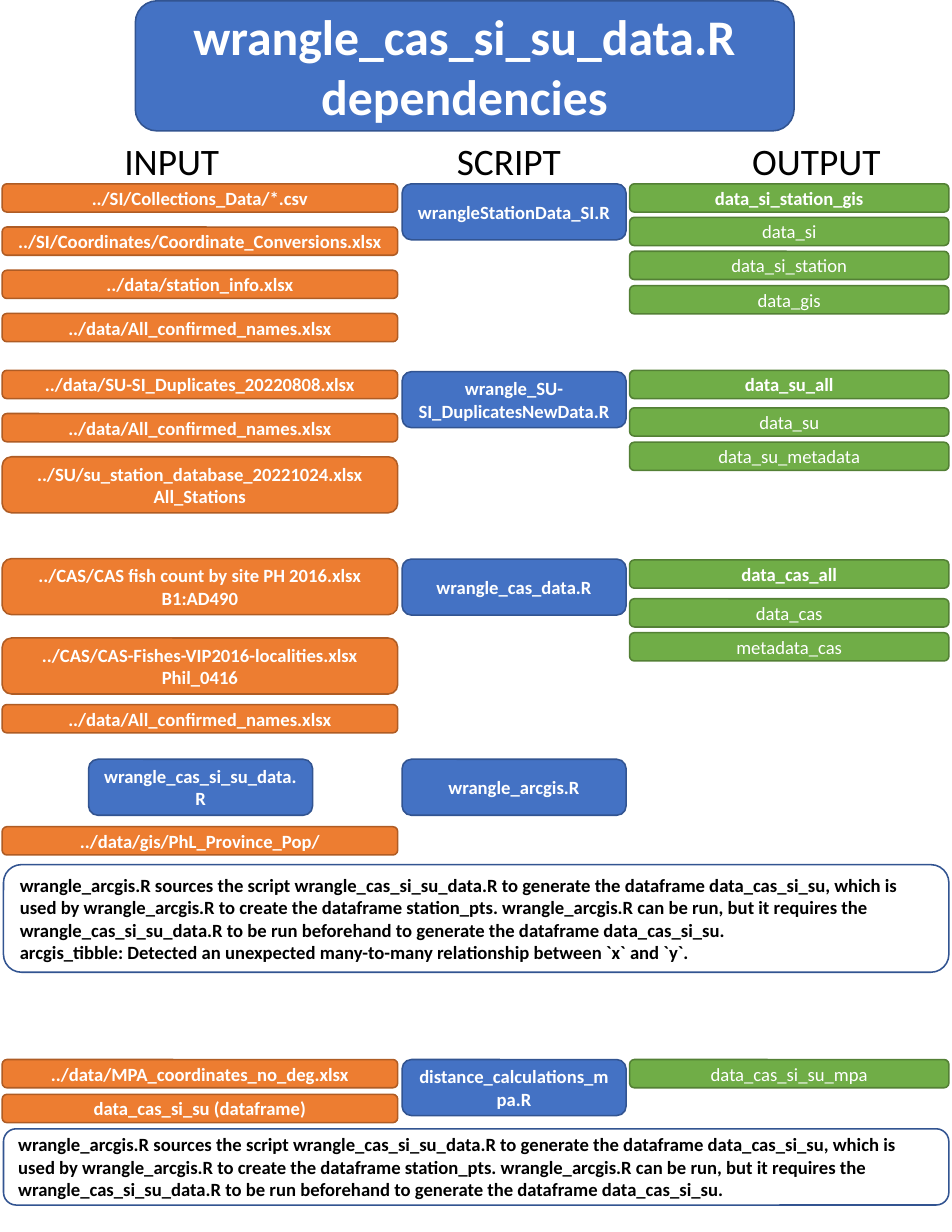
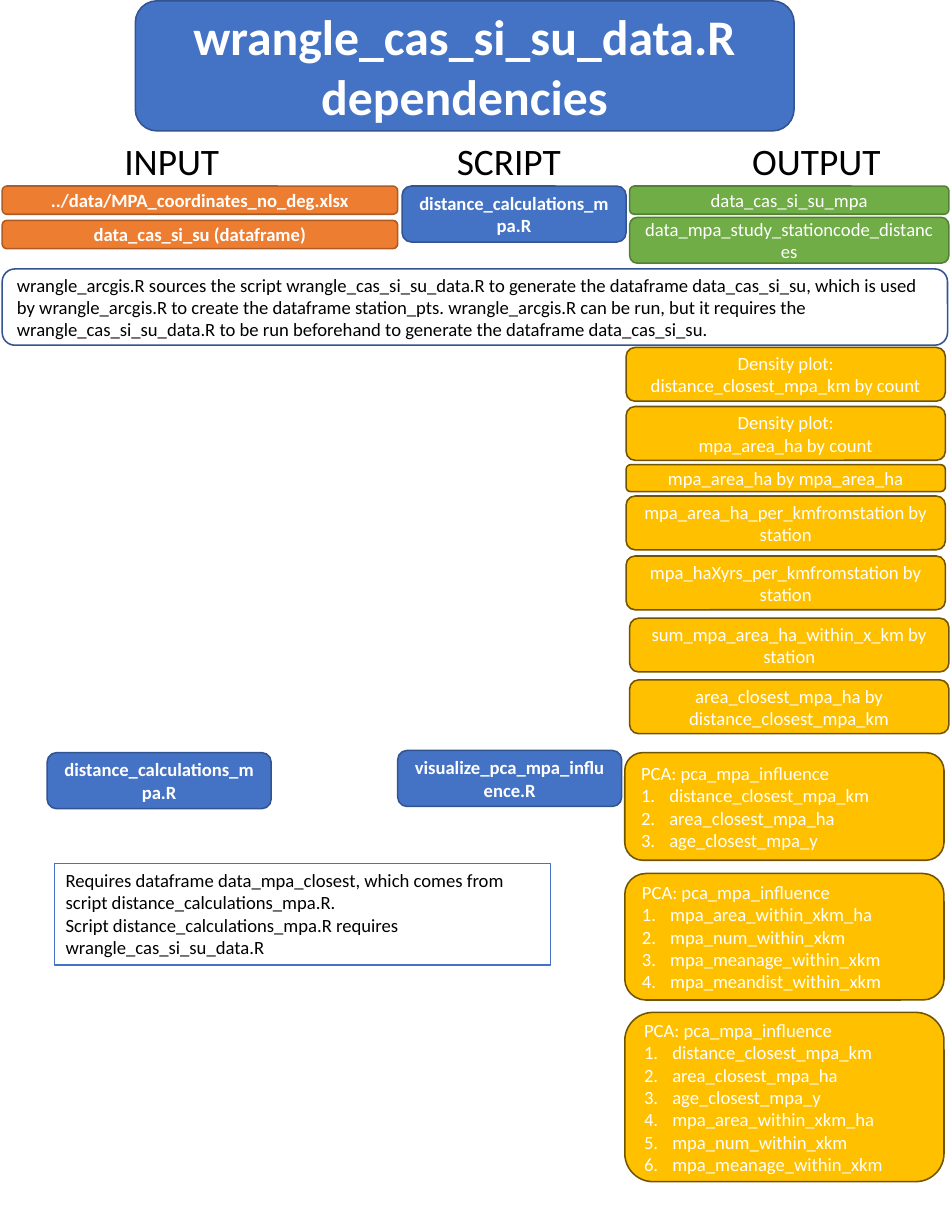
from lxml.etree import SubElement
from pptx import Presentation
from pptx.dml.color import RGBColor
from pptx.enum.shapes import MSO_SHAPE
from pptx.enum.text import MSO_ANCHOR, PP_ALIGN
from pptx.oxml.ns import qn
from pptx.util import Cm, Pt

FONT = "Calibri"
COLORS = {
    "blue": "4472C4", "blue_edge": "325491",
    "orange": "ED7D31", "orange_edge": "AF5C24",
    "green": "70AD47", "green_edge": "538035",
    "gold": "FFC000", "gold_edge": "705400",
    "white": "FFFFFF", "black": "000000",
}

ONE_LINE, TWO_LINES, PLOT = 0.64, 1.27, 1.22
INPUT, SCRIPT, OUTPUT, PLOTS, LISTS = 0.05, 9.12, 14.28, 14.2, 14.17

# kind: left, width, height, fill, edge, ink, bold, centred
KINDS = {
    "input": (INPUT, 8.97, ONE_LINE, "orange", "orange_edge", "white", True, True),
    "script": (SCRIPT, 5.08, TWO_LINES, "blue", "blue_edge", "white", True, True),
    "result": (OUTPUT, 7.24, ONE_LINE, "green", "green_edge", "white", True, True),
    "output": (OUTPUT, 7.24, ONE_LINE, "green", "green_edge", "white", False, True),
    "plot": (PLOTS, 7.24, PLOT, "gold", "gold_edge", "white", False, True),
    "list": (LISTS, 7.24, 2.44, "gold", "gold_edge", "white", False, False),
    "bold_note": (0.08, 21.44, 1.73, "white", "blue_edge", "black", True, False),
    "note": (0.05, 21.44, 1.73, "white", "blue_edge", "black", False, False),
    "requirement": (1.24, 11.25, 2.31, "white", "blue", "black", False, False),
    "title": (3.07, 14.94, 2.95, "blue", "blue_edge", "white", True, True),
}

TITLE = "wrangle_cas_si_su_data.R\ndependencies"
HEADINGS = [("INPUT", 2.57), ("SCRIPT", 10.11), ("OUTPUT", 16.81)]
NAMES = "../data/All_confirmed_names.xlsx"
MPA_INPUTS = ["../data/MPA_coordinates_no_deg.xlsx", "data_cas_si_su (dataframe)"]
DISTANCES = "distance_calculations_mpa.R"
SOURCING = (
    "wrangle_arcgis.R sources the script wrangle_cas_si_su_data.R to generate the "
    "dataframe data_cas_si_su, which is used by wrangle_arcgis.R to create the dataframe "
    "station_pts. wrangle_arcgis.R can be run, but it requires the "
    "wrangle_cas_si_su_data.R to be run beforehand to generate the dataframe data_cas_si_su."
)
WARNING = ("arcgis_tibble: Detected an unexpected many-to-many relationship "
           "between `x` and `y`.")
CLOSEST = ["distance_closest_mpa_km", "area_closest_mpa_ha", "age_closest_mpa_y"]
WITHIN = ["mpa_area_within_xkm_ha", "mpa_num_within_xkm", "mpa_meanage_within_xkm"]


def pca(variables):
    return "\n".join(["PCA: pca_mpa_influence", *variables])


# kind, top, text, then any size or place that differs from the kind
WRANGLING = [
    ("script", 4.17, "wrangleStationData_SI.R", {}),
    ("input", 4.17, "../SI/Collections_Data/*.csv", {}),
    ("input", 5.15, "../SI/Coordinates/Coordinate_Conversions.xlsx", {}),
    ("input", 6.13, "../data/station_info.xlsx", {}),
    ("input", 7.11, NAMES, {}),
    ("result", 4.17, "data_si_station_gis", {}),
    ("output", 4.93, "data_si", {}),
    ("output", 5.7, "data_si_station", {}),
    ("output", 6.48, "data_gis", {}),
    ("script", 8.43, "wrangle_SU-SI_DuplicatesNewData.R", {}),
    ("input", 8.4, "../data/SU-SI_Duplicates_20220808.xlsx", {}),
    ("input", 9.38, NAMES, {}),
    ("input", 10.36, "../SU/su_station_database_20221024.xlsx\nAll_Stations",
     {"height": TWO_LINES}),
    ("result", 8.4, "data_su_all", {}),
    ("output", 9.25, "data_su", {}),
    ("output", 10.03, "data_su_metadata", {}),
    ("script", 12.68, "wrangle_cas_data.R", {}),
    ("input", 12.67, "../CAS/CAS fish count by site PH 2016.xlsx\nB1:AD490",
     {"height": TWO_LINES}),
    ("input", 14.47, "../CAS/CAS-Fishes-VIP2016-localities.xlsx\nPhil_0416",
     {"height": TWO_LINES}),
    ("input", 15.98, NAMES, {}),
    ("result", 12.7, "data_cas_all", {}),
    ("output", 13.58, "data_cas", {}),
    ("output", 14.35, "metadata_cas", {}),
    ("script", 17.22, "wrangle_cas_si_su_data.R", {"left": 2.01}),
    ("script", 17.22, "wrangle_arcgis.R", {}),
    ("input", 18.75, "../data/gis/PhL_Province_Pop/", {}),
    ("bold_note", 19.61, f"{SOURCING}\n{WARNING}", {"height": 2.44}),
    ("input", 24.03, MPA_INPUTS[0], {}),
    ("input", 24.82, MPA_INPUTS[1], {}),
    ("script", 24.03, DISTANCES, {}),
    ("output", 24.03, "data_cas_si_su_mpa", {}),
    ("bold_note", 25.6, SOURCING, {}),
]
ANALYSIS = [
    ("input", 4.22, MPA_INPUTS[0], {}),
    ("input", 5.0, MPA_INPUTS[1], {}),
    ("script", 4.22, DISTANCES, {}),
    ("output", 4.22, "data_cas_si_su_mpa", {}),
    ("output", 4.93, "data_mpa_study_stationcode_distances", {"height": 1.04}),
    ("note", 6.1, SOURCING, {}),
    ("plot", 7.88, "Density plot: distance_closest_mpa_km by count", {}),
    ("plot", 9.22, "Density plot:\nmpa_area_ha by count", {}),
    ("plot", 10.54, "mpa_area_ha by mpa_area_ha", {"height": 0.61}),
    ("plot", 11.25, "mpa_area_ha_per_kmfromstation by station", {}),
    ("plot", 12.61, "mpa_haXyrs_per_kmfromstation by station", {}),
    ("plot", 14.02, "sum_mpa_area_ha_within_x_km by station", {"left": OUTPUT}),
    ("plot", 15.42, "area_closest_mpa_ha by distance_closest_mpa_km", {"left": OUTPUT}),
    ("script", 17.07, DISTANCES, {"left": 1.07}),
    ("script", 17.02, "visualize_pca_mpa_influence.R", {"left": 9.02}),
    ("requirement", 19.58,
     "Requires dataframe data_mpa_closest, which comes from script "
     "distance_calculations_mpa.R.\n"
     "Script distance_calculations_mpa.R requires wrangle_cas_si_su_data.R", {}),
    ("list", 17.07, pca(CLOSEST), {}),
    ("list", 19.81, pca(WITHIN + ["mpa_meandist_within_xkm"]), {"height": 2.87}),
    ("list", 22.96, pca(CLOSEST + WITHIN), {"height": 3.84}),
]


def color(name):
    return RGBColor.from_string(COLORS[name])


def write(box, text, size, ink, bold=False, centred=False):
    box.text_frame.word_wrap = True
    box.text_frame.text = text
    for para in box.text_frame.paragraphs:
        para.alignment = PP_ALIGN.CENTER if centred else PP_ALIGN.LEFT
        for span in para.runs:
            span.font.name = FONT
            span.font.size = Pt(size)
            span.font.bold = bold
            span.font.color.rgb = color(ink)


def number(para):
    properties = para._p.get_or_add_pPr()
    properties.set("marL", str(Cm(0.64)))
    properties.set("indent", str(-Cm(0.64)))
    SubElement(properties, qn("a:buFont")).set("typeface", "+mj-lt")
    SubElement(properties, qn("a:buAutoNum")).set("type", "arabicPeriod")


def add_box(page, kind, top, text, changes, size=12):
    left, width, height, fill, edge, ink, bold, centred = KINDS[kind]
    left = changes.get("left", left)
    height = changes.get("height", height)
    square = kind == "requirement"
    outline = MSO_SHAPE.RECTANGLE if square else MSO_SHAPE.ROUNDED_RECTANGLE
    box = page.shapes.add_shape(outline, Cm(left), Cm(top), Cm(width), Cm(height))
    box.shadow.inherit = False
    box.fill.solid()
    box.fill.fore_color.rgb = color(fill)
    box.line.color.rgb = color(edge)
    box.line.width = Pt(1)
    box.text_frame.vertical_anchor = MSO_ANCHOR.TOP if square else MSO_ANCHOR.MIDDLE
    write(box, text, size, ink, bold, centred)
    if kind == "list":
        for para in box.text_frame.paragraphs[1:]:
            number(para)


def add_page(deck, boxes):
    page = deck.slides.add_slide(deck.slide_layouts[6])
    add_box(page, "title", 0.02, TITLE, {}, size=32)
    for heading, left in HEADINGS:
        box = page.shapes.add_textbox(Cm(left), Cm(3.02), Cm(3.5), Cm(1.28))
        write(box, heading, 24, "black")
    for kind, top, text, changes in boxes:
        add_box(page, kind, top, text, changes)


def main():
    deck = Presentation()
    deck.slide_width, deck.slide_height = Cm(21.59), Cm(27.94)
    for boxes in (WRANGLING, ANALYSIS):
        add_page(deck, boxes)
    deck.save("out.pptx")


if __name__ == "__main__":
    main()
